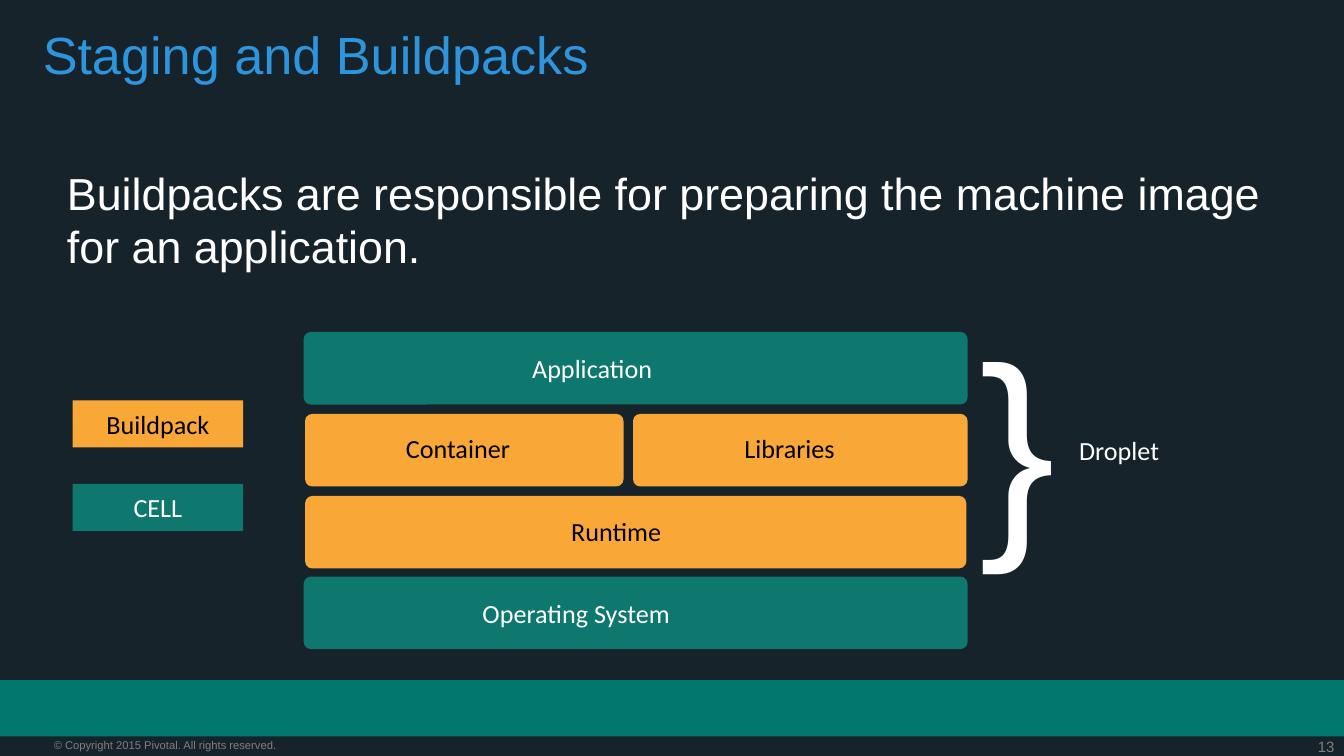
from pptx import Presentation
from pptx import util as u
from pptx.dml.color import RGBColor
from pptx.enum import shapes, text

COLORS = {
    "background": "17232A", "band": "00786E", "cell": "0F786E", "buildpack": "F9A737",
    "title": "2C95DD", "white": "FFFFFF", "black": "000000", "grey": "7F7F7F",
}
LABEL = dict(size=14, font="Calibri", anchor=text.MSO_ANCHOR.MIDDLE,
             insets=(0.06, 0.06), grow=True)
FOOTER = dict(color="grey", insets=(0, 0))
LEFT, CENTER, RIGHT = text.PP_ALIGN.LEFT, text.PP_ALIGN.CENTER, text.PP_ALIGN.RIGHT


def write(box, words, size=14, font="Arial", color="white", align=LEFT,
          anchor=text.MSO_ANCHOR.TOP, insets=(0.1, 0.05), wrap=True, grow=False, spacing=None):
    """Put one formatted paragraph in a shape; insets are (sides, top and bottom)."""
    frame = box.text_frame
    frame.margin_left = frame.margin_right = u.Inches(insets[0])
    frame.margin_top = frame.margin_bottom = u.Inches(insets[1])
    frame.word_wrap = wrap
    frame.vertical_anchor = anchor
    fit = text.MSO_AUTO_SIZE
    frame.auto_size = fit.SHAPE_TO_FIT_TEXT if grow else fit.NONE
    para = frame.paragraphs[0]
    para.alignment = align
    if spacing:
        para.line_spacing = spacing
    span = para.add_run()
    span.text = words
    span.font.size = u.Pt(size)
    span.font.name = font
    span.font.color.rgb = RGBColor.from_string(COLORS[color])


class Painter:
    def __init__(self, page):
        self.page = page
        fill = page.background.fill
        fill.solid()
        fill.fore_color.rgb = RGBColor.from_string(COLORS["background"])

    def block(self, left, top, width, height, fill, rounded=False):
        kind = shapes.MSO_SHAPE.ROUNDED_RECTANGLE if rounded else shapes.MSO_SHAPE.RECTANGLE
        box = self.page.shapes.add_shape(kind, *map(u.Inches, (left, top, width, height)))
        if rounded:
            box.adjustments[0] = 0.1
        box.shadow.inherit = False
        box.fill.solid()
        box.fill.fore_color.rgb = RGBColor.from_string(COLORS[fill])
        box.line.fill.background()
        return box

    def words(self, left, top, width, height, words, **style):
        box = self.page.shapes.add_textbox(*map(u.Inches, (left, top, width, height)))
        write(box, words, **style)


def main():
    deck = Presentation()
    deck.slide_width = u.Inches(10)
    deck.slide_height = deck.slide_width * 9 // 16
    painter = Painter(deck.slides.add_slide(deck.slide_layouts[6]))

    painter.block(0, 5.06, 10, 0.42, "band")
    painter.words(9.35, 5.49, 0.58, 0.14, "13", size=8, align=RIGHT, **FOOTER)
    painter.words(0.4, 5.49, 2.49, 0.1, "© Copyright 2015 Pivotal. All rights reserved.",
                  size=6, **FOOTER)
    painter.words(0.22, 0.17, 9.2, 0.68, "Staging and Buildpacks",
                  size=28, color="title", spacing=0.9)
    painter.words(0.4, 1.18, 9.2, 3.75,
                  "Buildpacks are responsible for preparing the machine image for an application.",
                  size=24)

    # Layers of the stack
    for left, top, width, fill in [
        (2.26, 2.47, 4.94, "cell"),
        (2.27, 3.08, 2.37, "buildpack"),
        (4.71, 3.08, 2.49, "buildpack"),
        (2.27, 3.69, 4.92, "buildpack"),
        (2.26, 4.29, 4.94, "cell"),
    ]:
        painter.block(left, top, width, 0.54, fill, rounded=True)

    for left, top, width, height, name, color in [
        (3.9, 2.51, 1.44, 0.46, "Application", "white"),
        (5.48, 3.16, 0.9, 0.35, "Libraries", "black"),
        (4.19, 3.78, 0.85, 0.35, "Runtime", "black"),
        (7.97, 3.17, 0.8, 0.35, "Droplet", "white"),
    ]:
        painter.words(left, top, width, height, name, color=color, **LABEL)

    for left, top, width, height, name, fill, align in [
        (2.96, 3.16, 1, 0.35, "Container", "buildpack", LEFT),
        (3.53, 4.33, 2.18, 0.46, "Operating System", "cell", LEFT),
        (0.54, 2.98, 1.27, 0.35, "Buildpack", "buildpack", CENTER),
        (0.54, 3.6, 1.27, 0.35, "CELL", "cell", CENTER),
    ]:
        box = painter.block(left, top, width, height, fill)
        color = "black" if fill == "buildpack" else "white"
        write(box, name, color=color, align=align, **LABEL)

    brace = {**LABEL, "size": 122, "font": "Arial"}
    painter.words(7.23, 2.16, 0.68, 2.17, "}", align=CENTER, wrap=False, **brace)

    deck.save("out.pptx")


if __name__ == "__main__":
    main()
